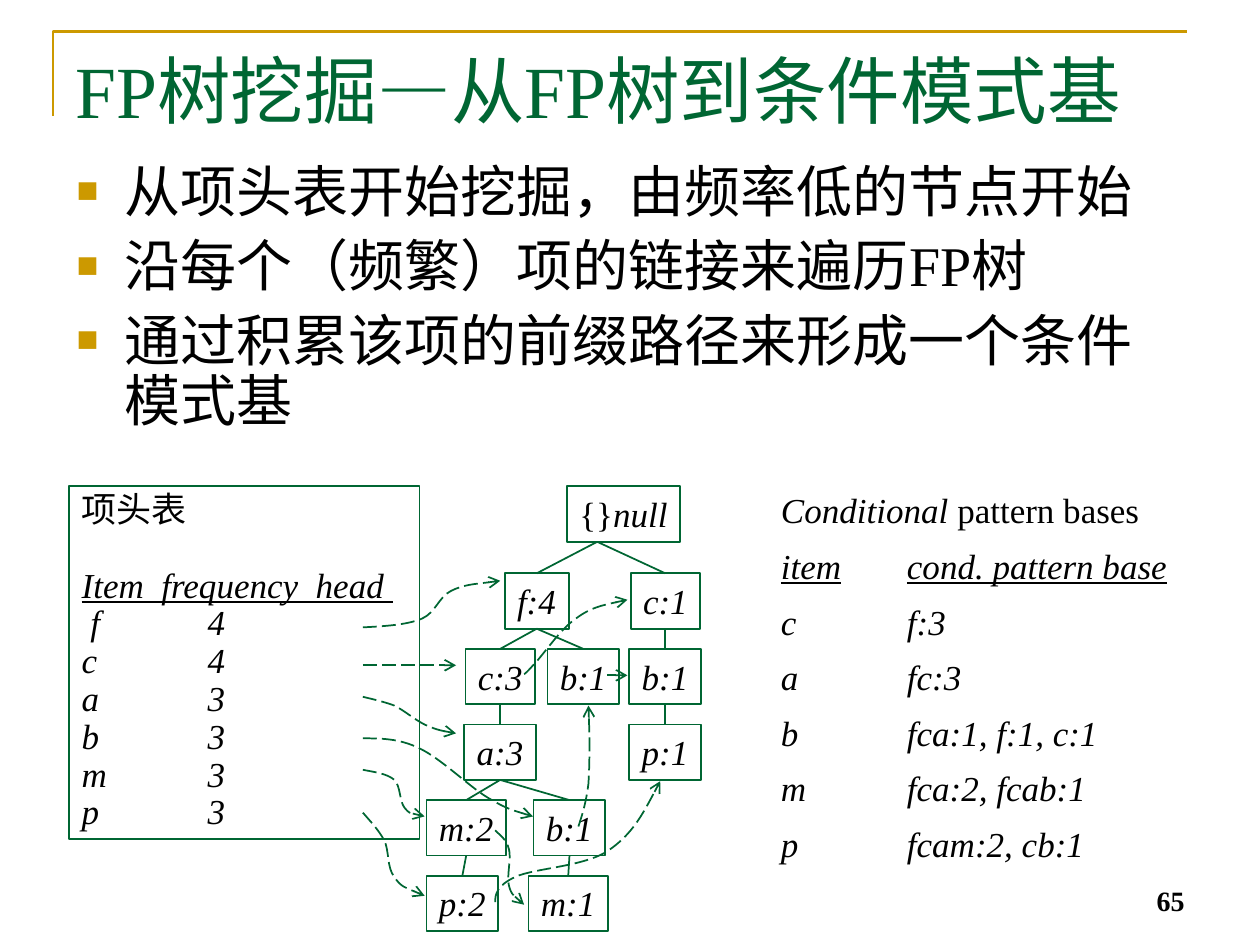
"""Build the slide on mining conditional pattern bases from an FP tree."""
from lxml import etree
from pptx import Presentation
from pptx import util as u
from pptx.dml.color import RGBColor
from pptx.enum import dml, shapes, text
from pptx.oxml import ns

THEME = {
    "font": "Times New Roman",
    "ink": RGBColor.from_string("000000"),
    "green": RGBColor.from_string("006633"),
    "gold": RGBColor.from_string("CC9900"),
    "title": 42, "body": 32, "label": 20, "number": 16,
    "thin": 1, "frame": 1.5,
}
COLUMNS, ROWS = 10, 7.5

TITLE = "FP树挖掘—从FP树到条件模式基"
BULLETS = [
    "从项头表开始挖掘，由频率低的节点开始",
    "沿每个（频繁）项的链接来遍历FP树",
    "通过积累该项的前缀路径来形成一个条件模式基",
]
PAGE_NUMBER = "65"
HEADER_TITLE, HEADER_COLUMNS = "项头表", "Item  frequency  head "
HEADER_ROWS = [(" f", "4"), ("c", "4"), ("a", "3"), ("b", "3"), ("m", "3"), ("p", "3")]
BASES_TITLE = [("Conditional ", "i"), ("pattern bases", "")]
BASES_COLUMNS = ("item", "cond. pattern base")
BASES_ROWS = [("c", "f:3"), ("a", "fc:3"), ("b", "fca:1, f:1, c:1"),
              ("m", "fca:2, fcab:1"), ("p", "fcam:2, cb:1")]
SECOND_COLUMN = 1

NODE_WIDTHS = {"{": 0.9, "f": 0.51, "c": 0.55, "a": 0.57, "b": 0.57, "p": 0.57, "m": 0.63}
NODE_HEIGHT, ROOT_TOP, TREE_TOP, LEVEL_STEP = 0.44, 3.86, 4.55, 0.6
ROOT_FORK = 4.74
NODES = {
    "root": ("{}null", 4.95, 0, None),
    "f": ("f:4", 4.26, 1, "root"),
    "right c": ("c:1", 5.28, 1, "root"),
    "c": ("c:3", 3.97, 2, "f"),
    "middle b": ("b:1", 4.63, 2, "f"),
    "right b": ("b:1", 5.28, 2, "right c"),
    "a": ("a:3", 3.97, 3, "c"),
    "right p": ("p:1", 5.28, 3, "right b"),
    "m": ("m:2", 3.7, 4, "a"),
    "low b": ("b:1", 4.52, 4, "a"),
    "p": ("p:2", 3.67, 5, "m"),
    "low m": ("m:1", 4.51, 5, "low b"),
}
STRAIGHT_LINKS = [((2.88, 5.28), (3.62, 5.28)), ((4.82, 5.36), (4.98, 5.36))]
CURVED_LINKS = [
    [(2.88, 4.98), (3.06, 4.97), (3.23, 4.96), (3.35, 4.91), (3.46, 4.86),
     (3.48, 4.74), (3.58, 4.69), (3.68, 4.64), (3.83, 4.63), (3.97, 4.61)],
    [(4.16, 5.35), (4.16, 5.35), (4.17, 5.35), (4.24, 5.27), (4.31, 5.2),
     (4.45, 4.99), (4.57, 4.91), (4.69, 4.82), (4.84, 4.79), (4.98, 4.76)],
    [(2.88, 5.53), (2.96, 5.55), (3.05, 5.57), (3.13, 5.6), (3.21, 5.64),
     (3.29, 5.71), (3.37, 5.75), (3.46, 5.79), (3.54, 5.81), (3.62, 5.82)],
    [(2.88, 5.86), (3.02, 5.86), (3.17, 5.86), (3.33, 5.94), (3.5, 6.02),
     (3.72, 6.24), (3.87, 6.33), (4.02, 6.42), (4.13, 6.45), (4.23, 6.48)],
    [(4.59, 6.56), (4.62, 6.47), (4.65, 6.38), (4.67, 6.22), (4.68, 6.05),
     (4.68, 5.83), (4.67, 5.6)],
    [(2.88, 6.11), (2.98, 6.13), (3.07, 6.14), (3.13, 6.19), (3.18, 6.24),
     (3.17, 6.36), (3.21, 6.41), (3.25, 6.46), (3.31, 6.47), (3.37, 6.48)],
    [(3.93, 6.59), (3.97, 6.63), (4.02, 6.66), (4.04, 6.74), (4.06, 6.81),
     (4.02, 6.96), (4.04, 7.03), (4.06, 7.1), (4.11, 7.14), (4.16, 7.18)],
    [(2.88, 6.45), (2.94, 6.52), (3, 6.58), (3.05, 6.67), (3.09, 6.75),
     (3.07, 6.89), (3.13, 6.96), (3.18, 7.04), (3.28, 7.07), (3.37, 7.11)],
    [(3.93, 7.16), (3.93, 7.1), (3.94, 7.03), (4.09, 6.96), (4.24, 6.89),
     (4.64, 6.88), (4.83, 6.75), (5.02, 6.62), (5.13, 6.41), (5.24, 6.2)],
]

presentation = Presentation()
presentation.slide_width, presentation.slide_height = u.Inches(COLUMNS), u.Inches(ROWS)
slide = presentation.slides.add_slide(presentation.slide_layouts[6])
UNIT = presentation.slide_width / COLUMNS


def grid(*lengths):
    return [round(length * UNIT) for length in lengths]


def add_xml(parent, tag, **attributes):
    return etree.SubElement(parent, ns.qn(tag), attributes)


def write(frame, paragraphs, size, color="ink", wrap=True, line=None, before=None, tab=None):
    frame.word_wrap = wrap
    frame.vertical_anchor = text.MSO_ANCHOR.TOP
    for index, runs in enumerate(paragraphs):
        paragraph = frame.add_paragraph() if index else frame.paragraphs[0]
        paragraph.alignment = text.PP_ALIGN.LEFT
        paragraph.line_spacing = line
        paragraph.space_before = None if before is None else u.Pt(before)
        if tab:
            stops = add_xml(paragraph._p.get_or_add_pPr(), "a:tabLst")
            add_xml(stops, "a:tab", pos=str(grid(tab)[0]), algn="l")
        for words, style in runs:
            run = paragraph.add_run()
            run.text = words
            run.font.name, run.font.size = THEME["font"], u.Pt(THEME[size])
            run.font.color.rgb = THEME[color]
            run.font.bold, run.font.italic = "b" in style, "i" in style
            run.font.underline = "u" in style
    return frame.paragraphs


def add_text(place, paragraphs, size, **options):
    box = slide.shapes.add_textbox(*grid(*place))
    return write(box.text_frame, paragraphs, size, **options)


def add_box(place, paragraphs, **options):
    box = slide.shapes.add_shape(shapes.MSO_SHAPE.RECTANGLE, *grid(*place))
    style_outline(box)
    return write(box.text_frame, paragraphs, "label", **options)


def style_line(shape, color="green", weight="thin", link=False):
    shape.line.color.rgb, shape.line.width = THEME[color], u.Pt(THEME[weight])
    if link:
        shape.line.dash_style = dml.MSO_LINE.LONG_DASH
        add_xml(shape.line._get_or_add_ln(), "a:tailEnd", type="arrow")


def style_outline(shape, **options):
    shape.shadow.inherit = False
    shape.fill.background()
    style_line(shape, **options)


def add_line(start, end, link=False):
    line = slide.shapes.add_connector(shapes.MSO_CONNECTOR.STRAIGHT, *grid(*start, *end))
    style_line(line, link=link)
    add_xml(line._element.spPr, "a:effectLst")


def add_outline(points, **options):
    builder = slide.shapes.build_freeform(*grid(*points[0]))
    builder.add_line_segments([grid(*point) for point in points[1:]], close=False)
    outline = builder.convert_to_shape()
    style_outline(outline, **options)
    return outline


def add_curve(points):
    outline = add_outline(points, link=True)
    route = next(outline._element.iter(ns.qn("a:path")))
    segments = route.findall(ns.qn("a:lnTo"))
    for first in range(0, len(segments), 3):
        curve = add_xml(route, "a:cubicBezTo")
        for segment in segments[first:first + 3]:
            curve.append(segment[0])
            route.remove(segment)


def node_top(level):
    return TREE_TOP + LEVEL_STEP * (level - 1) if level else ROOT_TOP


def add_tree():
    for label, center, level, parent in NODES.values():
        width, top = NODE_WIDTHS[label[0]], node_top(level)
        runs = [("{}", ""), ("null", "i")] if parent is None else [(label, "i")]
        add_box((center - width / 2, top, width, NODE_HEIGHT), [runs], wrap=False)
        if parent:
            _, parent_center, parent_level, _ = NODES[parent]
            fork = parent_center if parent_level else ROOT_FORK
            add_line((fork, node_top(parent_level) + NODE_HEIGHT), (center, top))


def tabbed(rows, style="i"):
    return [[("\t".join(row), style)] for row in rows]


add_outline([(0.42, 0.92), (0.42, 0.25), (9.42, 0.25)], color="gold", weight="frame")
add_text((0.5, 0.31, 9, 0.85), [[(TITLE, "")]], "title", color="green")

for paragraph in add_text((0.51, 1.25, 9, 2.44), [[(bullet, "")] for bullet in BULLETS],
                          "body", line=0.9, before=8):
    properties = paragraph._p.get_or_add_pPr()
    properties.set("marL", str(u.Inches(0.38)))
    properties.set("indent", str(-u.Inches(0.38)))
    add_xml(add_xml(properties, "a:buClr"), "a:srgbClr", val=str(THEME["gold"]))
    add_xml(properties, "a:buSzPct", val="65000")
    add_xml(properties, "a:buFont", typeface=THEME["font"])
    add_xml(properties, "a:buChar", char="■")

number = add_text((7.17, 6.83, 2.33, 0.5), [[(PAGE_NUMBER, "b")]], "number")[0]
number.alignment = text.PP_ALIGN.RIGHT
slide.shapes[-1].text_frame.vertical_anchor = text.MSO_ANCHOR.BOTTOM

add_tree()
header = add_box((0.55, 3.86, 2.78, 2.8),
                 [[(HEADER_TITLE, "")], [(HEADER_COLUMNS, "iu")], *tabbed(HEADER_ROWS)],
                 line=0.9, tab=SECOND_COLUMN)
header[1].space_before = u.Pt(21.5)
for start, end in STRAIGHT_LINKS:
    add_line(start, end, link=True)
for points in CURVED_LINKS:
    add_curve(points)

bases = add_text((6.1, 3.83, 3.64, 3.08),
                 [BASES_TITLE, *tabbed([BASES_COLUMNS], "iu"), *tabbed(BASES_ROWS)],
                 "label", line=0.8, before=12.5, tab=SECOND_COLUMN)
bases[0].line_spacing = None

presentation.save("out.pptx")
